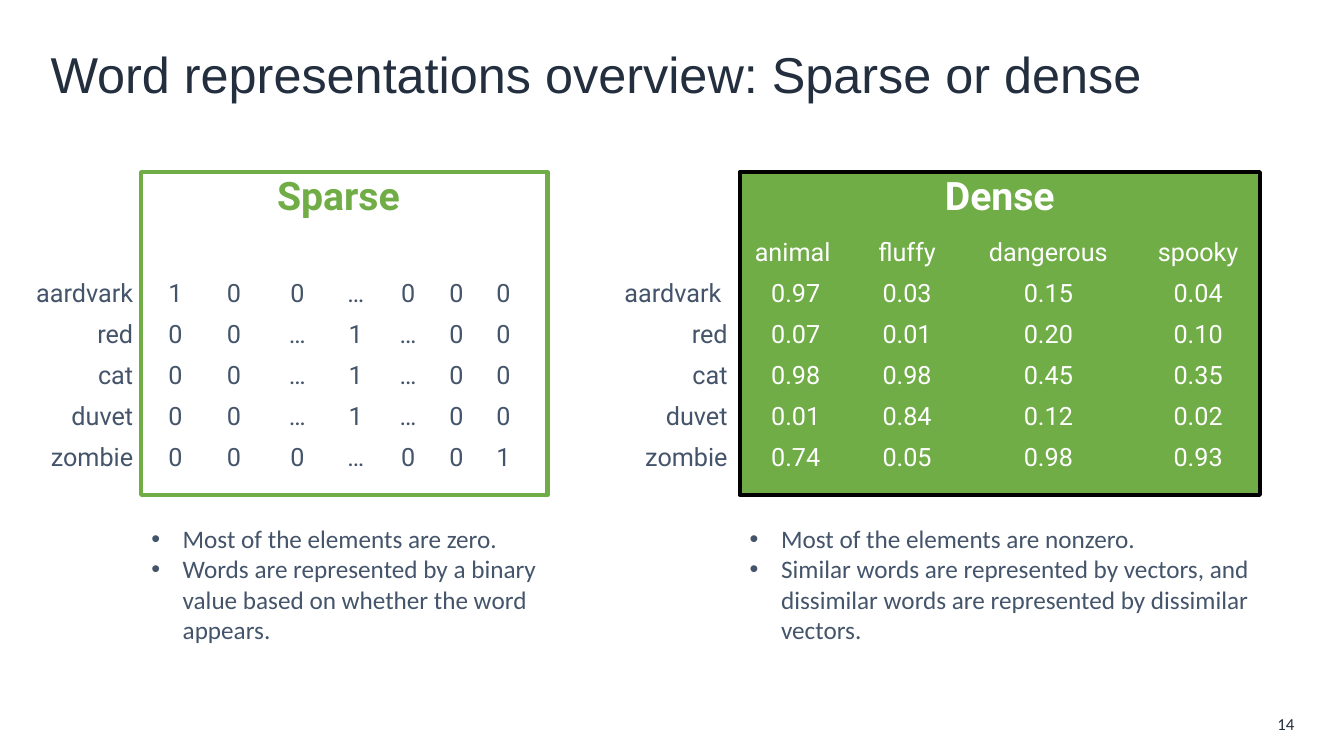
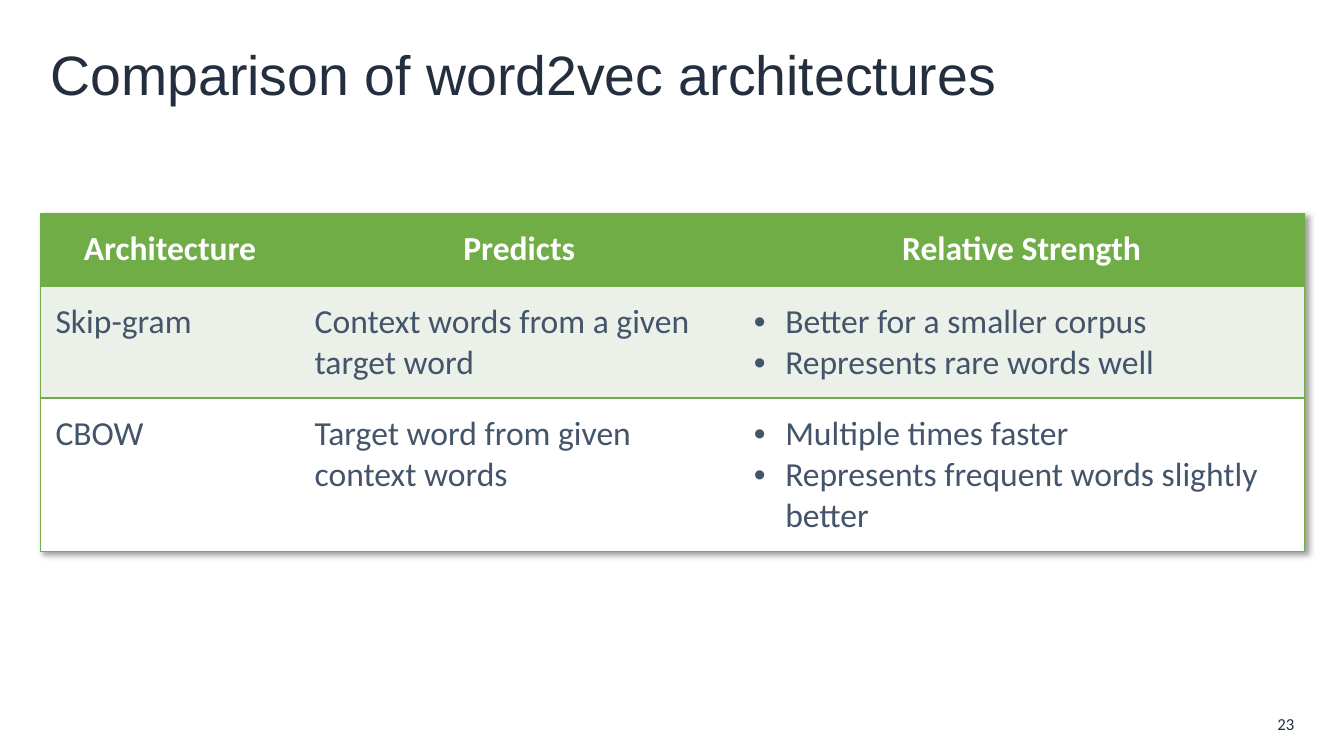
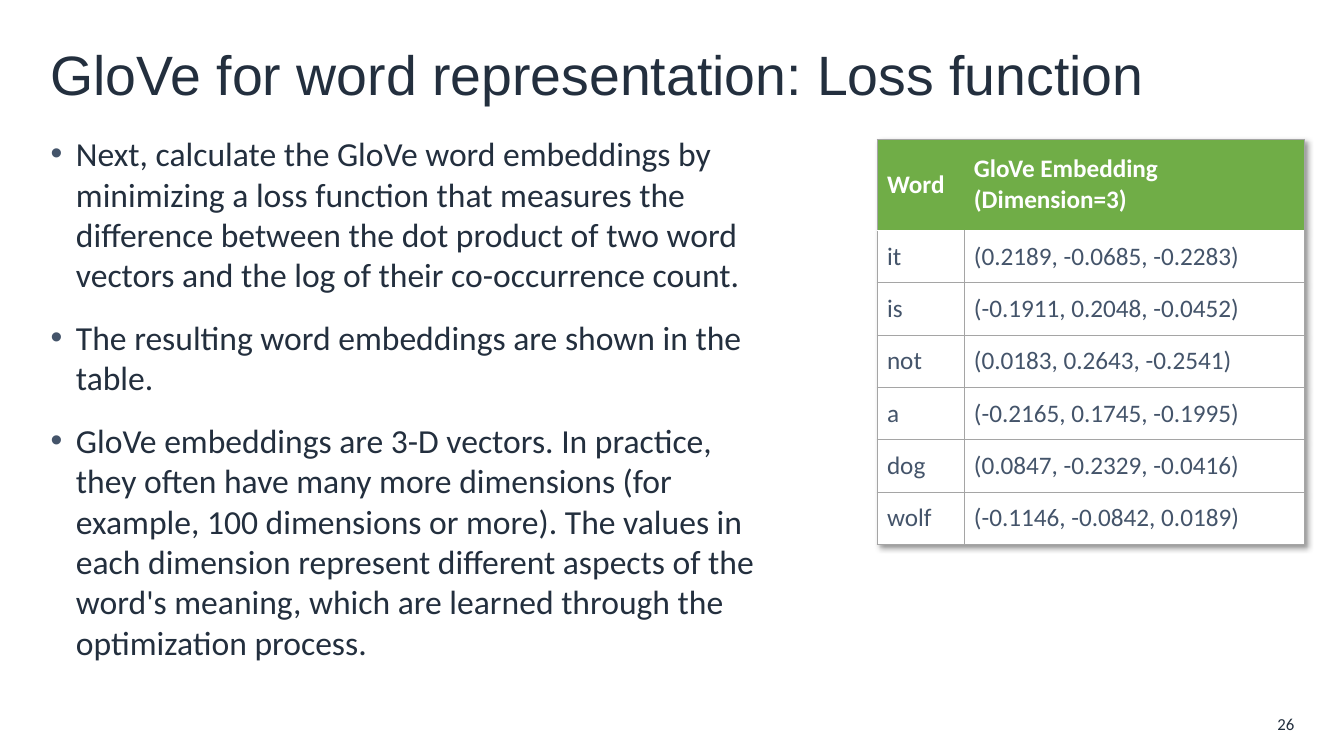
from lxml import etree
from pptx import Presentation
from pptx.dml.color import RGBColor
from pptx.enum.shapes import MSO_SHAPE as Preset
from pptx.enum.text import MSO_ANCHOR as Anchor, MSO_AUTO_SIZE as AutoSize, PP_ALIGN as Align
from pptx.oxml import parse_xml
from pptx.oxml.ns import nsdecls, qn
from pptx.util import Cm, Pt

GREEN, INK, SLATE = "70AD47", "232F3E", "44546A"
WHITE, BLACK, GREY, MINT = "FFFFFF", "000000", "A5A5A5", "EBF1E9"
NO_TABLE_STYLE = "{2D5ABB26-0587-4C30-8999-92F81FD0307C}"
LAYOUT_CONTENT, LAYOUT_TWO_CONTENT, LAYOUT_TITLE_ONLY = 1, 3, 5
EDGE = 1.02  # left margin shared by titles, lists and tables, in cm

# Content -----------------------------------------------------------------
SPARSE = {
    "heading": "Sparse",
    "heading_box": (6.6, 4.11, 3.86, 1.6),
    "panel": (3.56, 4.34, 10.24, 8.13),
    "colours": {"fill": WHITE, "line": GREEN, "heading": GREEN, "values": SLATE},
    "corner": (0.28, 6.91),
    "widths": (3.33, 1.47, 1.63, 1.57, 1.37, 1.27, 1.17, 1.19),
    "rows": [
        ("aardvark", " 1", "0", "0", "…", "0", "0", "0"),
        ("red", " 0", "0", "…", "1", "…", "0", "0"),
        ("cat", " 0", "0", "…", "1", "…", "0", "0"),
        ("duvet", " 0", "0", "…", "1", "…", "0", "0"),
        ("zombie", " 0", "0", "0", "…", "0", "0", "1"),
    ],
    "notes_box": (3.56, 13.06, 10.24, 3.33),
    "notes": [
        "Most of the elements are zero.",
        "Words are represented by a binary value based on whether the word appears.",
    ],
}
DENSE = {
    "heading": "Dense",
    "heading_box": (23.39, 4.11, 3.61, 1.6),
    "panel": (18.64, 4.34, 13.11, 8.13),
    "colours": {"fill": GREEN, "line": BLACK, "heading": WHITE, "values": WHITE},
    "corner": (14.81, 5.88),
    "widths": (3.78, 2.77, 3.0, 4.12, 3.43),
    "rows": [
        ("", "animal", "fluffy", "dangerous", "spooky"),
        ("aardvark ", " 0.97", "0.03", "0.15", "0.04"),
        ("red", " 0.07", "0.01", "0.20", "0.10"),
        ("cat", " 0.98", "0.98", "0.45", "0.35"),
        ("duvet", " 0.01", "0.84", "0.12", "0.02"),
        ("zombie", " 0.74", "0.05", "0.98", "0.93"),
    ],
    "notes_box": (18.64, 13.06, 13.26, 3.33),
    "notes": [
        "Most of the elements are nonzero.",
        "Similar words are represented by vectors, and dissimilar words are "
        "represented by dissimilar vectors.",
    ],
}
ARCHITECTURES = [
    ("Architecture", "Predicts", "Relative Strength"),
    ("Skip-gram", "Context words from a given target word",
     ["Better for a smaller corpus", "Represents rare words well"]),
    ("CBOW", "Target word from given context words",
     ["Multiple times faster", "Represents frequent words slightly better"]),
]
GLOVE_POINTS = [
    "Next, calculate the GloVe word embeddings by minimizing a loss function that "
    "measures the difference between the dot product of two word vectors and the "
    "log of their co-occurrence count.",
    "The resulting word embeddings are shown in the table.",
    "GloVe embeddings are 3-D vectors. In practice, they often have many more "
    "dimensions (for example, 100 dimensions or more). The values in each dimension "
    "represent different aspects of the word's meaning, which are learned through "
    "the optimization process.",
]
EMBEDDINGS = [
    ("Word", "GloVe Embedding (Dimension=3)"),
    ("it", "(0.2189, -0.0685, -0.2283)"),
    ("is", "(-0.1911, 0.2048, -0.0452)"),
    ("not", "(0.0183, 0.2643, -0.2541)"),
    ("a", "(-0.2165, 0.1745, -0.1995)"),
    ("dog", "(0.0847, -0.2329, -0.0416)"),
    ("wolf", "(-0.1146, -0.0842, 0.0189)"),
]


# Shared parts --------------------------------------------------------------
def rgb(colour):
    return RGBColor.from_string(colour)


def look(name, size, colour, bold=False):
    return {"name": name, "size": Pt(size), "bold": bold, "colour": colour}


def set_all(target, values):
    for name, value in values.items():
        setattr(target, name, value)


def place(shape, box):
    set_all(shape, dict(zip(("left", "top", "width", "height"), map(Cm, box))))


def add_bullet(paragraph, indent, colour):
    properties = paragraph._p.get_or_add_pPr()
    properties.set("marL", str(Cm(indent)))
    properties.set("indent", str(-Cm(indent)))
    for xml in (f'<a:buClr {nsdecls("a")}><a:srgbClr val="{colour}"/></a:buClr>',
                f'<a:buFont {nsdecls("a")} typeface="Arial"/>',
                f'<a:buChar {nsdecls("a")} char="•"/>'):
        properties.append(parse_xml(xml))


def write(frame, texts, font, align=Align.LEFT, indent=None, before=0, after=0):
    """Fill a text frame with paragraphs; an indent in cm makes them bullets."""
    for index, text in enumerate(texts):
        paragraph = frame.add_paragraph() if index else frame.paragraphs[0]
        if indent:
            add_bullet(paragraph, indent, SLATE)
        set_all(paragraph, {"alignment": align, "space_after": Pt(after),
                            "space_before": Pt(before if index else 0)})
        if text:
            run = paragraph.add_run()
            run.text = text
            set_all(run.font, {key: font[key] for key in ("name", "size", "bold")})
            run.font.color.rgb = rgb(font["colour"])


def add_text(slide, box, text, font, align, wrap=True):
    label = slide.shapes.add_textbox(*map(Cm, box))
    set_all(label.text_frame, {"word_wrap": wrap, "vertical_anchor": Anchor.MIDDLE})
    write(label.text_frame, [text], font, align)


def fill_placeholder(placeholder, box, texts, font, anchor=Anchor.TOP, **layout):
    place(placeholder, box)
    set_all(placeholder.text_frame, {"auto_size": AutoSize.NONE, "vertical_anchor": anchor})
    write(placeholder.text_frame, texts, font, **layout)


def add_slide(deck, layout, title, number, title_size=39.6):
    slide = deck.slides.add_slide(deck.slide_layouts[layout])
    fill_placeholder(slide.shapes.title, (EDGE, 0.84, 31.85, 2.03), [title],
                     look("Arial", title_size, INK), Anchor.MIDDLE)
    add_text(slide, (31.52, 17.91, 1.35, 0.64), number, look("Calibri", 12, INK), Align.RIGHT)
    return slide


def draw_borders(cell, borders):
    """Draw cell edges given as {side: (colour, points)}, with sides L, R, T, B."""
    properties = cell._tc.get_or_add_tcPr()
    for side in "LRTB":
        if side in borders:
            colour, points = borders[side]
            properties.append(parse_xml(
                f'<a:ln{side} {nsdecls("a")} w="{Pt(points)}"><a:solidFill>'
                f'<a:srgbClr val="{colour}"/></a:solidFill></a:ln{side}>'))


def add_table(slide, rows, corner, widths, heights, cell_format, shadow=True):
    """Add a table; cell_format(row, column) gives each cell's format values."""
    frame = slide.shapes.add_table(len(rows), len(widths), *map(
        Cm, (*corner, sum(widths), sum(heights))))
    table = frame.table
    set_all(table, {"first_row": False, "horz_banding": False})
    properties = table._tbl.tblPr
    properties.find(qn("a:tableStyleId")).text = NO_TABLE_STYLE
    if shadow:
        effects = etree.Element(qn("a:effectLst"))
        effects.append(parse_xml(
            f'<a:outerShdw {nsdecls("a")} blurRad="50800" dist="38100" dir="2700000" '
            'algn="tl" rotWithShape="0"><a:prstClr val="black"><a:alpha val="40000"/>'
            '</a:prstClr></a:outerShdw>'))
        properties.insert(0, effects)
    for column, width in zip(table.columns, widths):
        column.width = Cm(width)
    for row, height in zip(table.rows, heights):
        row.height = Cm(height)
    for r, row in enumerate(rows):
        for c, content in enumerate(row):
            cell, style = table.cell(r, c), cell_format(r, c)
            draw_borders(cell, style.get("borders", {}))
            if "fill" in style:
                cell.fill.solid()
                cell.fill.fore_color.rgb = rgb(style["fill"])
            else:
                cell.fill.background()
            set_all(cell, style.get("cell", {}))
            is_list = isinstance(content, list)
            write(cell.text_frame, content if is_list else [content], style["font"],
                  style.get("align", Align.LEFT), 0.79 if is_list else None)


# Slides --------------------------------------------------------------------
def add_representation(slide, part, notes):
    colours = part["colours"]
    panel = slide.shapes.add_shape(Preset.ROUNDED_RECTANGLE, *map(Cm, part["panel"]))
    panel.adjustments[0] = 0
    panel.shadow.inherit = False
    panel.fill.solid()
    panel.fill.fore_color.rgb = rgb(colours["fill"])
    panel.line.color.rgb = rgb(colours["line"])
    panel.line.width = Pt(3)
    add_text(slide, part["heading_box"], part["heading"],
             look("Roboto", 28, colours["heading"], True), Align.CENTER, wrap=False)

    def cell_format(row, column):
        return {"font": look("Roboto", 18, colours["values"] if column else SLATE),
                "align": Align.CENTER if column else Align.RIGHT}

    add_table(slide, part["rows"], part["corner"], part["widths"],
              [1.03] * len(part["rows"]), cell_format, shadow=False)
    fill_placeholder(notes, part["notes_box"], part["notes"],
                     look("Calibri", 18, SLATE), indent=0.79)


def architecture_format(row, column):
    edge = (GREEN, 1)
    outer = {0: {"L": edge}, 2: {"R": edge}}.get(column, {})
    margins = ("margin_left", "margin_top", "margin_right", "margin_bottom")
    return {"font": look("Calibri", 24, SLATE if row else WHITE, not row),
            "align": Align.LEFT if row else Align.CENTER,
            "fill": (GREEN, MINT, WHITE)[row],
            "borders": {"T": edge, "B": edge, **outer},
            "cell": dict.fromkeys(margins, Cm(0.38))}


def embedding_format(row, column):
    edge, divider = (GREY, 0.5), (WHITE, 1)
    borders = dict.fromkeys("LRTB", edge)
    if row == 0:
        borders["B"] = divider
        del borders["L" if column else "R"]
    elif row == 1:
        borders["T"] = divider
    return {"font": look("Calibri", 18, SLATE if row else WHITE, not row),
            "fill": WHITE if row else GREEN,
            "borders": borders,
            "cell": {"vertical_anchor": Anchor.MIDDLE}}


def main():
    deck = Presentation()
    set_all(deck, {"slide_width": Cm(33.87), "slide_height": Cm(19.05)})

    overview = add_slide(deck, LAYOUT_TWO_CONTENT,
                         "Word representations overview: Sparse or dense", "14", 36)
    for index, part in enumerate((SPARSE, DENSE), start=1):
        add_representation(overview, part, overview.placeholders[index])

    comparison = add_slide(deck, LAYOUT_TITLE_ONLY,
                           "Comparison of word2vec architectures", "23")
    add_table(comparison, ARCHITECTURES, (EDGE, 5.38), (6.53, 11.07, 14.25),
              (1.83, 2.82, 3.86), architecture_format)

    loss = add_slide(deck, LAYOUT_CONTENT,
                     "GloVe for word representation: Loss function", "26")
    fill_placeholder(loss.placeholders[1], (EDGE, 3.23, 18.82, 14.63), GLOVE_POINTS,
                     look("Calibri", 24, INK), indent=0.64, before=10, after=6)
    add_table(loss, EMBEDDINGS, (22.1, 3.51), (2.19, 8.57),
              [2.29] + [1.32] * (len(EMBEDDINGS) - 1), embedding_format)

    deck.save("out.pptx")


if __name__ == "__main__":
    main()
